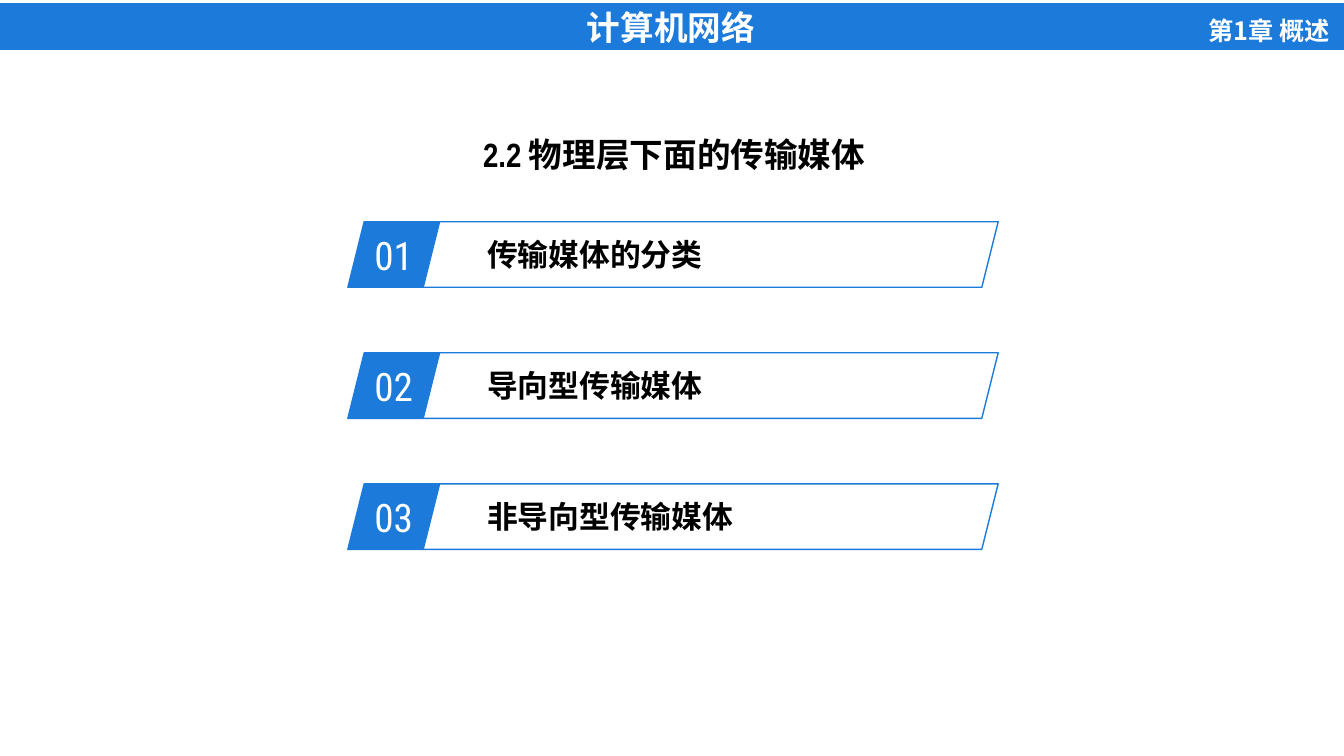
"""Build the section overview slide for the transmission media chapter."""
from lxml import etree
from pptx import Presentation
from pptx.dml.color import RGBColor
from pptx.enum import shapes, text
from pptx.oxml.ns import qn
from pptx.util import Inches, Pt

COURSE = "计算机网络"
CHAPTER = "第1章 概述"
SECTION = "2.2 物理层下面的传输媒体"
TOPICS = ["传输媒体的分类", "导向型传输媒体", "非导向型传输媒体"]

BLUE, WHITE, BLACK = "1B7ADA", "FFFFFF", "000000"
NARROW, CJK, CONDENSED = "Arial Narrow", "Noto Sans CJK SC", "Roboto Condensed"
WIDTH, HEIGHT = 13.33, 7.5
ROW_TOP, ROW_PITCH, ROW_HEIGHT = 2.2, 1.3, 0.65
NUMBER_LEFT, NUMBER_WIDTH = 3.45, 0.91
TOPIC_LEFT, TOPIC_WIDTH = 4.19, 5.71
CENTER, LEFT, RIGHT = text.PP_ALIGN.CENTER, text.PP_ALIGN.LEFT, text.PP_ALIGN.RIGHT
MIDDLE, TOP = text.MSO_ANCHOR.MIDDLE, text.MSO_ANCHOR.TOP


def color(value):
    return RGBColor.from_string(value)


def write(shape, words, size, font, ink, bold=False, align=CENTER, anchor=MIDDLE):
    frame = shape.text_frame
    frame.word_wrap = True
    frame.vertical_anchor = anchor
    paragraph = frame.paragraphs[0]
    paragraph.alignment = align
    run = paragraph.add_run()
    run.text = words
    run.font.size, run.font.name, run.font.bold = Pt(size), font, bold
    run.font.color.rgb = color(ink)
    east_asian = etree.SubElement(run.font._element, qn("a:ea"))
    east_asian.set("typeface", CJK)


def add_box(slide, kind, box, fill=None):
    shape = slide.shapes.add_shape(kind, *map(Inches, box))
    shape.shadow.inherit = False
    if fill:
        shape.fill.solid()
        shape.fill.fore_color.rgb = color(fill)
    else:
        shape.fill.background()
    shape.line.color.rgb = color(BLUE)
    shape.line.width = Pt(1)
    return shape


def add_label(slide, box):
    return slide.shapes.add_textbox(*map(Inches, box))


def main():
    presentation = Presentation()
    presentation.slide_width, presentation.slide_height = Inches(WIDTH), Inches(HEIGHT)
    slide = presentation.slides.add_slide(presentation.slide_layouts[6])

    banner = add_box(slide, shapes.MSO_SHAPE.RECTANGLE, (-0.02, 0.04, 13.35, 0.45), BLUE)
    write(banner, COURSE, 24, NARROW, WHITE, bold=True)
    chapter = add_label(slide, (11.11, 0.1, 2.18, 0.4))
    write(chapter, CHAPTER, 18, CJK, WHITE, bold=True, align=RIGHT, anchor=TOP)
    chapter.text_frame.auto_size = text.MSO_AUTO_SIZE.SHAPE_TO_FIT_TEXT
    section = add_label(slide, (4.34, 1.3, 4.69, 0.46))
    write(section, SECTION, 24, NARROW, BLACK, bold=True)

    slanted = shapes.MSO_SHAPE.PARALLELOGRAM
    for index, topic in enumerate(TOPICS):
        top = ROW_TOP + index * ROW_PITCH
        number = add_box(slide, slanted, (NUMBER_LEFT, top, NUMBER_WIDTH, ROW_HEIGHT), BLUE)
        write(number, f"{index + 1:02d}", 28, CONDENSED, WHITE)
        outline = add_box(slide, slanted, (TOPIC_LEFT, top, TOPIC_WIDTH, ROW_HEIGHT))
        write(outline, topic, 22, CONDENSED, BLACK, bold=True, align=LEFT)

    presentation.save("out.pptx")


if __name__ == "__main__":
    main()
